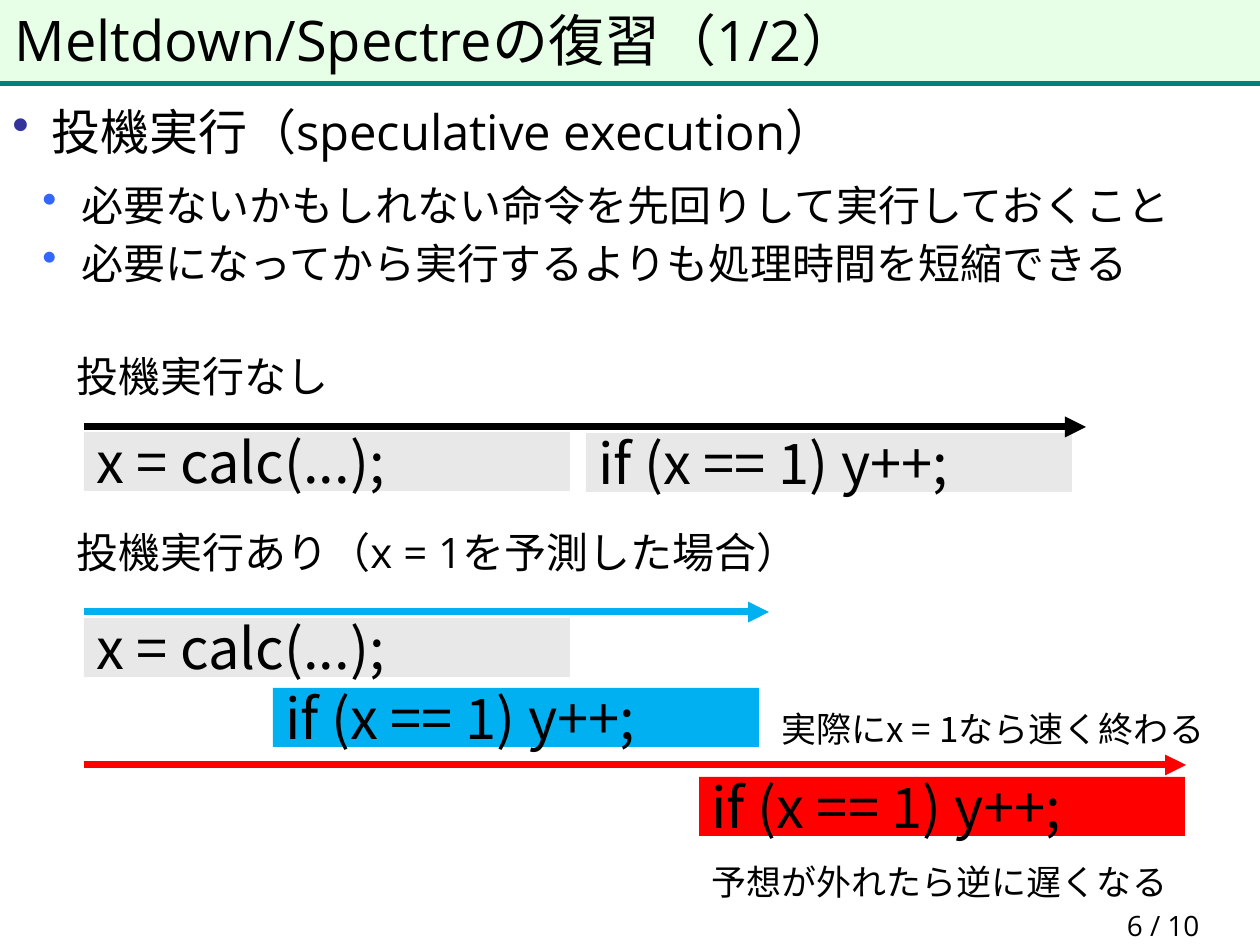
"""Build the slide that reviews speculative execution with two timelines."""
from lxml import etree
from pptx import Presentation
from pptx.dml.color import RGBColor
from pptx.enum.shapes import MSO_CONNECTOR, MSO_SHAPE
from pptx.enum.text import MSO_ANCHOR, MSO_AUTO_SIZE, PP_ALIGN
from pptx.oxml.ns import qn
from pptx.util import Emu, Pt

RECTANGLE = MSO_SHAPE.RECTANGLE
STRAIGHT = MSO_CONNECTOR.STRAIGHT
MIDDLE, TOP = MSO_ANCHOR.MIDDLE, MSO_ANCHOR.TOP
LEFT, RIGHT = PP_ALIGN.LEFT, PP_ALIGN.RIGHT
NO_FIT = MSO_AUTO_SIZE.NONE

SCALE = 914400 / 126
THEME = {
    "latin": "Open Sans", "cjk": "Noto Sans CJK JP",
    "text": "000000", "header": "E7FFE7", "rule": "008080",
    "plain": "E8E8E8", "hit": "00B0F0", "miss": "FF0000",
    "bullets": ["333399", "3366FF"],
    "title": 32, "code": 32, "levels": [28, 24], "label": 24, "note": 20, "page": 16,
    "arrow": 4,
}

TITLE = "Meltdown/Spectreの復習（1/2）"
POINTS = [
    (0, "投機実行（speculative execution）"),
    (1, "必要ないかもしれない命令を先回りして実行しておくこと"),
    (1, "必要になってから実行するよりも処理時間を短縮できる"),
]
LEVELS = [
    {"margin": 39, "line": 40, "before": 0, "after": 7},
    {"margin": 69, "line": 29, "before": 4, "after": 0},
]
HANGING = 39
CALC, BRANCH = "x = calc(...);", "if (x == 1) y++;"
START = 84
BAR_WIDTH, BAR_HEIGHT = 486, 59
BANDS = [(0, 81, "header"), (81, 5, "rule")]
BARS = [
    (START, 432, CALC, "plain"),
    (586, 433, BRANCH, "plain"),
    (START, 618, CALC, "plain"),
    (273, 688, BRANCH, "hit"),
    (699, 777, BRANCH, "miss"),
]
ARROWS = [(1086, 427, "text"), (769, 612, "hit"), (1186, 765, "miss")]
CAPTIONS = [
    ((64, 346, 900, 60), "投機実行なし", "label", "latin", LEFT),
    ((64, 522, 900, 60), "投機実行あり（x = 1を予測した場合）", "label", "latin", LEFT),
    ((769, 700, 466, 57), "実際にx = 1なら速く終わる", "note", "cjk", LEFT),
    ((699, 853, 507, 57), "予想が外れたら逆に遅くなる", "note", "cjk", LEFT),
    ((1086, 905, 126, 40), "6 / 10", "page", "latin", RIGHT),
]


def px(length):
    return Emu(round(length * SCALE))


def color(name):
    return RGBColor.from_string(THEME[name])


def style(para, size, face, align=LEFT):
    para.alignment = align
    para.font.size = Pt(size)
    para.font.name = THEME[face]
    para.font.color.rgb = color("text")
    properties = para._p.get_or_add_pPr().find(qn("a:defRPr"))
    etree.SubElement(properties, qn("a:ea"), typeface=THEME["cjk"])


def write(box, text, size, face, align=LEFT):
    frame = box.text_frame
    frame.word_wrap = True
    frame.auto_size = NO_FIT
    frame.vertical_anchor = MIDDLE
    frame.text = text
    style(frame.paragraphs[0], THEME[size], face, align)


def add_block(page, bounds, fill):
    block = page.shapes.add_shape(RECTANGLE, *map(px, bounds))
    block.shadow.inherit = False
    block.fill.solid()
    block.fill.fore_color.rgb = color(fill)
    block.line.fill.background()
    return block


def add_arrow(page, end, y, tone):
    arrow = page.shapes.add_connector(STRAIGHT, px(START), px(y), px(end), px(y))
    arrow.line.color.rgb = color(tone)
    arrow.line.width = Pt(THEME["arrow"])
    etree.SubElement(arrow.line._get_or_add_ln(), qn("a:tailEnd"), type="triangle")
    etree.SubElement(arrow._element.spPr, qn("a:effectLst"))


def add_bullet(para, level):
    properties = para._p.get_or_add_pPr()
    properties.set("marL", str(px(LEVELS[level]["margin"])))
    properties.set("indent", str(-px(HANGING)))
    tint = etree.Element(qn("a:buClr"))
    etree.SubElement(tint, qn("a:srgbClr"), val=THEME["bullets"][level])
    mark = etree.Element(qn("a:buChar"), char="•")
    default = properties.find(qn("a:defRPr"))
    default.addprevious(tint)
    default.addprevious(mark)


def add_points(page):
    frame = page.shapes.add_textbox(px(0), px(90), px(1260), px(220)).text_frame
    frame.word_wrap = True
    frame.vertical_anchor = TOP
    frame.margin_top = 0
    for index, (level, text) in enumerate(POINTS):
        para = frame.paragraphs[0] if index == 0 else frame.add_paragraph()
        para.text = text
        para.level = level
        para.line_spacing = Pt(LEVELS[level]["line"])
        para.space_before = Pt(LEVELS[level]["before"])
        para.space_after = Pt(LEVELS[level]["after"])
        style(para, THEME["levels"][level], "latin")
        add_bullet(para, level)


def add_title(page):
    title = page.shapes.title
    title.left, title.top, title.width, title.height = map(px, (2, 2, 1258, 74))
    write(title, TITLE, "title", "latin")
    title._element.getparent().append(title._element)


def main():
    deck = Presentation()
    deck.slide_width, deck.slide_height = px(1260), px(945)
    page = deck.slides.add_slide(deck.slide_layouts[5])
    for top, height, fill in BANDS:
        add_block(page, (0, top, 1260, height), fill)
    add_title(page)
    add_points(page)
    for left, top, code, fill in BARS:
        bar = add_block(page, (left, top, BAR_WIDTH, BAR_HEIGHT), fill)
        write(bar, code, "code", "cjk")
    for arrow in ARROWS:
        add_arrow(page, *arrow)
    for bounds, text, size, face, align in CAPTIONS:
        write(page.shapes.add_textbox(*map(px, bounds)), text, size, face, align)
    deck.save("out.pptx")


main()
